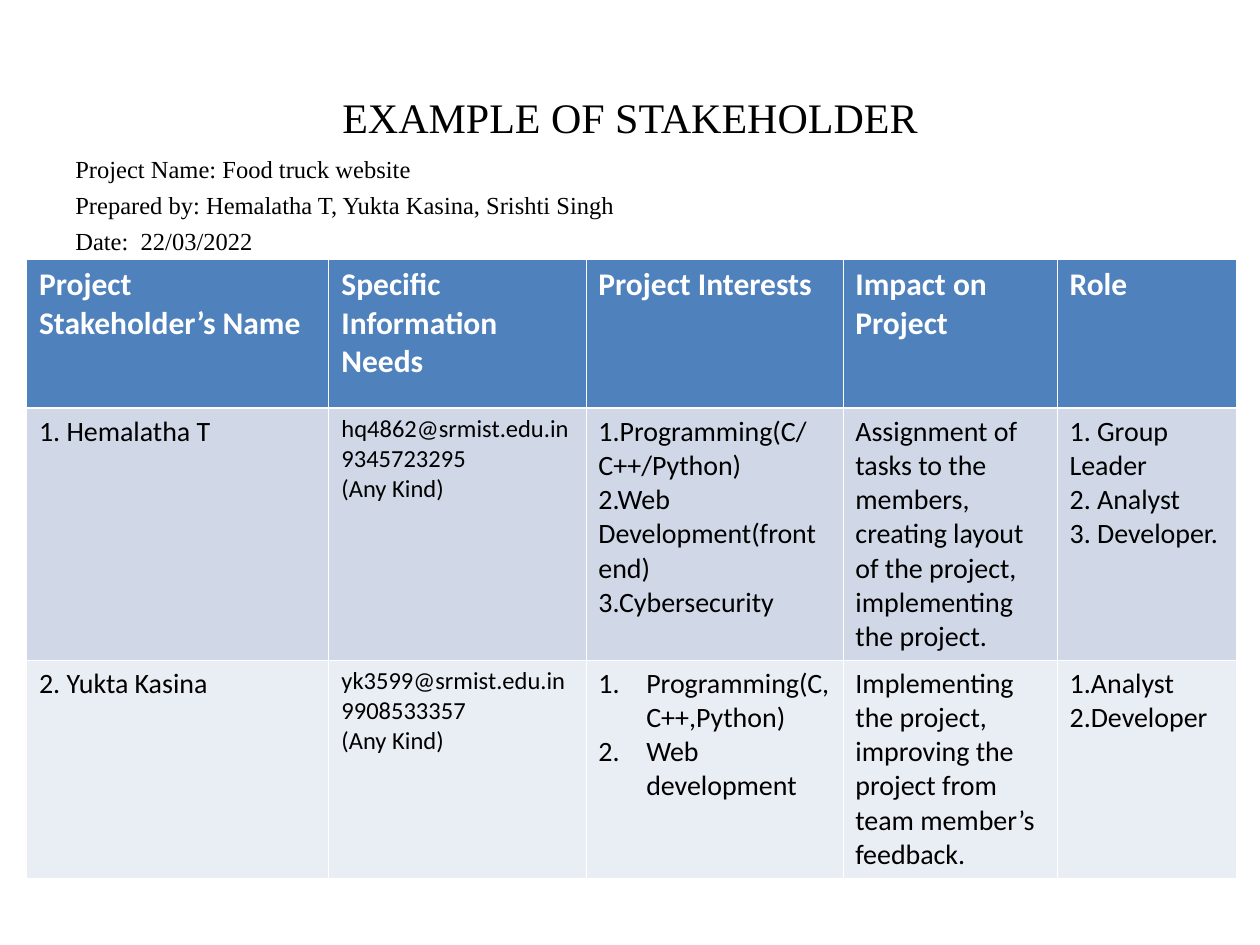
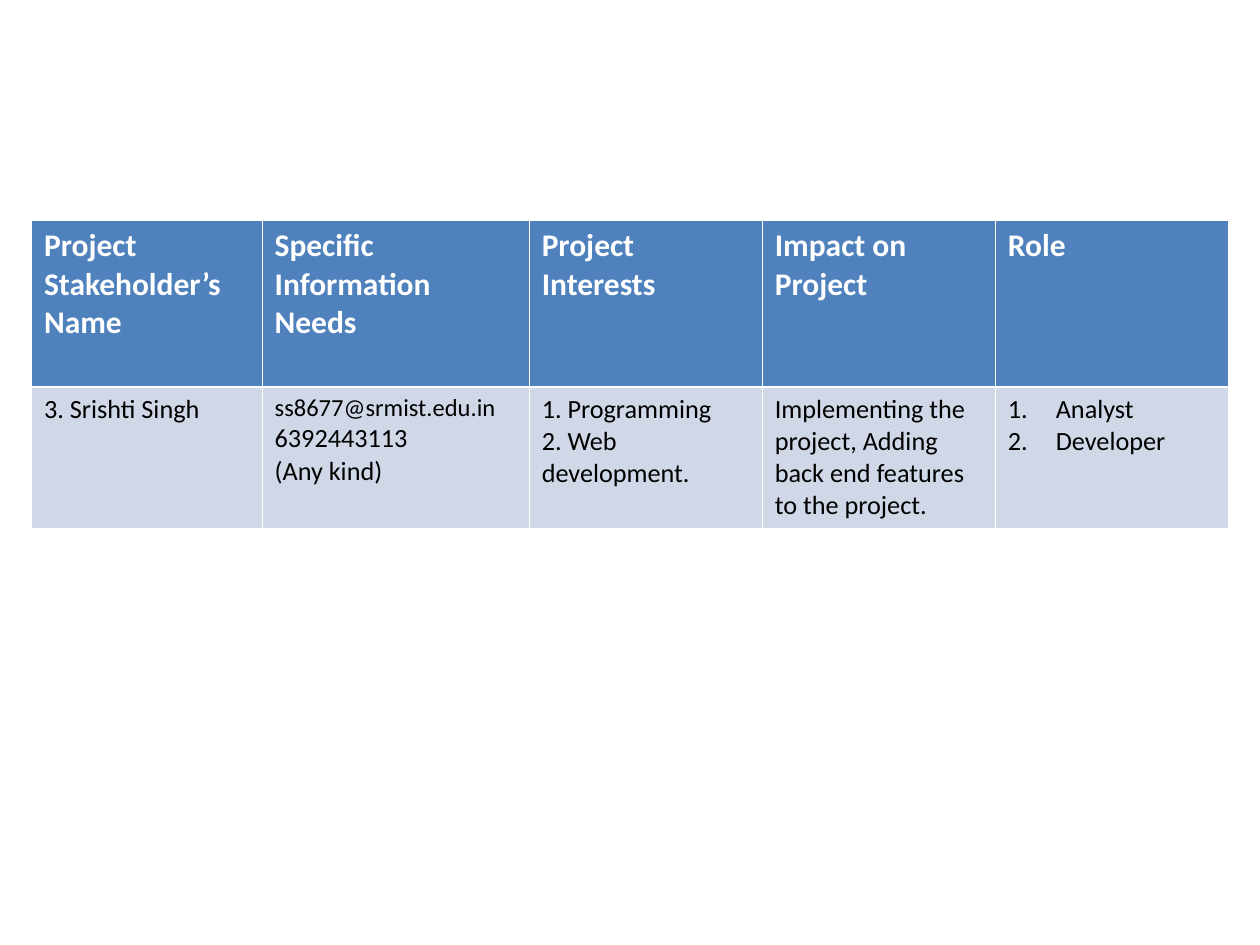
import dataclasses
import typing

import lxml.etree
import pptx
import pptx.dml.color
import pptx.enum.text
import pptx.oxml.ns
import pptx.util

Inches = pptx.util.Inches
Pt = pptx.util.Pt
qn = pptx.oxml.ns.qn


@dataclasses.dataclass(frozen=True)
class Theme:
    serif: str = "Times New Roman"
    sans: str = "Calibri"
    black: str = "000000"
    white: str = "FFFFFF"
    head: str = "4F81BD"
    bands: tuple[str, ...] = ("D0D8E8", "E9EDF4")
    title: float = 24
    label: float = 18
    body: float = 16
    small: float = 15
    note: float = 14
    thin: float = 0.45
    thick: float = 1.47
    gap: float = 4


THEME = Theme()


@dataclasses.dataclass(frozen=True)
class Cell:
    lines: tuple[str, ...]
    sizes: tuple[float, ...] = ()
    listed: bool = False


@dataclasses.dataclass(frozen=True)
class Grid:
    left: float
    top: float
    widths: tuple[float, ...]
    heights: tuple[float, ...]
    size: float
    rows: tuple[tuple[Cell, ...], ...]


HEADS = (
    Cell(("Project", "Stakeholder’s Name")),
    Cell(("Specific Information Needs",)),
    Cell(("Project Interests",)),
    Cell(("Impact on Project",)),
    Cell(("Role",)),
)

FACTS = (
    "Project Name: Food truck website",
    "Prepared by: Hemalatha T, Yukta Kasina, Srishti Singh",
    "Date:  22/03/2022",
)

FIRST = Grid(
    0.21, 2.06, (2.4, 2.04, 2.04, 1.7, 1.42), (1.18, 2, 1.73), THEME.body,
    (
        (
            Cell(("1. Hemalatha T",)),
            Cell(("hq4862@srmist.edu.in", "9345723295", "(Any Kind)"), (THEME.note,) * 3),
            Cell(("1.Programming(C/C++/Python)", "2.Web Development(front end)", "3.Cybersecurity")),
            Cell(("Assignment of tasks to the members, creating layout of the project, "
                  "implementing the project.",)),
            Cell(("1. Group Leader", "2. Analyst", "3. Developer.")),
        ),
        (
            Cell(("2. Yukta Kasina",)),
            Cell(("yk3599@srmist.edu.in", "9908533357", "(Any Kind)"), (THEME.note,) * 3),
            Cell(("Programming(C,C++,Python)", "Web development"), listed=True),
            Cell(("Implementing the project, improving the project from team member’s feedback.",)),
            Cell(("1.Analyst", "2.Developer")),
        ),
    ),
)

SECOND = Grid(
    0.25, 1.75, (1.83, 2.12, 1.85, 1.85, 1.85), (1.32, 1.12), THEME.small,
    (
        (
            Cell(("3. Srishti Singh",)),
            Cell(("ss8677@srmist.edu.in", "6392443113", "(Any kind)"),
                 (THEME.note, THEME.small, THEME.small)),
            Cell(("1. Programming", "2. Web development.")),
            Cell(("Implementing the project, Adding back end features to the project.",)),
            Cell(("Analyst", "Developer"), listed=True),
        ),
    ),
)


def apply(target: typing.Any, values: dict[str, typing.Any]) -> None:
    for name, value in values.items():
        setattr(target, name, value)


def style(font: typing.Any, face: str, size: float, tint: str, bold: bool = False) -> None:
    apply(font, {"name": face, "size": Pt(size), "bold": bold})
    font.color.rgb = pptx.dml.color.RGBColor.from_string(tint)


def place(shape: typing.Any, left: float, top: float, width: float, height: float) -> None:
    apply(shape, {"left": Inches(left), "top": Inches(top),
                  "width": Inches(width), "height": Inches(height)})


def paint(parent: typing.Any, tint: str) -> None:
    fill = lxml.etree.SubElement(parent, qn("a:solidFill"))
    lxml.etree.SubElement(fill, qn("a:srgbClr"), val=tint)


def count(para: typing.Any) -> None:
    props = para._p.get_or_add_pPr()
    props.set("marL", str(Inches(0.38)))
    props.set("indent", str(-Inches(0.38)))
    tint = lxml.etree.SubElement(props, qn("a:buClr"))
    lxml.etree.SubElement(tint, qn("a:srgbClr"), val=THEME.black)
    lxml.etree.SubElement(props, qn("a:buFont"), typeface="+mj-lt")
    lxml.etree.SubElement(props, qn("a:buAutoNum"), type="arabicPeriod")


def edge(box: typing.Any, row: int) -> None:
    props = box._tc.get_or_add_tcPr()
    widths = {
        "a:lnL": THEME.thin,
        "a:lnR": THEME.thin,
        "a:lnT": THEME.thick if row == 1 else THEME.thin,
        "a:lnB": THEME.thick if row == 0 else THEME.thin,
    }
    for index, (side, width) in enumerate(widths.items()):
        line = lxml.etree.Element(qn(side), w=str(int(Pt(width))))
        paint(line, THEME.white)
        props.insert(index, line)


def fill_cell(box: typing.Any, cell: Cell, row: int, base: float) -> None:
    head = row == 0
    shade = THEME.head if head else THEME.bands[(row - 1) % len(THEME.bands)]
    box.fill.solid()
    box.fill.fore_color.rgb = pptx.dml.color.RGBColor.from_string(shade)
    edge(box, row)
    box.text_frame.text = "\n".join(cell.lines)
    sizes = cell.sizes or (THEME.label if head else base,) * len(cell.lines)
    for para, size in zip(box.text_frame.paragraphs, sizes):
        if cell.listed:
            count(para)
        style(para.runs[0].font, THEME.sans, size, THEME.white if head else THEME.black, head)


def draw_grid(slide: typing.Any, grid: Grid) -> None:
    rows = (HEADS, *grid.rows)
    frame = slide.shapes.add_table(
        len(rows), len(HEADS), Inches(grid.left), Inches(grid.top),
        Inches(sum(grid.widths)), Inches(sum(grid.heights)))
    table = frame.table
    for column, width in zip(table.columns, grid.widths):
        column.width = Inches(width)
    for line, height in zip(table.rows, grid.heights):
        line.height = Inches(height)
    for row, cells in enumerate(rows):
        for col, cell in enumerate(cells):
            fill_cell(table.cell(row, col), cell, row, grid.size)


def draw_title(slide: typing.Any, text: str) -> None:
    title = slide.shapes.title
    place(title, 0.5, 0.3, 9, 1.25)
    title.text_frame.text = text
    title.text_frame.vertical_anchor = pptx.enum.text.MSO_ANCHOR.MIDDLE
    para = title.text_frame.paragraphs[0]
    para.alignment = pptx.enum.text.PP_ALIGN.CENTER
    style(para.runs[0].font, THEME.serif, THEME.title, THEME.black)


def draw_facts(slide: typing.Any, lines: tuple[str, ...]) -> None:
    box = slide.shapes.add_textbox(Inches(0.5), Inches(1.17), Inches(9), Inches(5.53))
    box.text_frame.word_wrap = True
    box.text_frame.text = "\n".join(lines)
    for index, para in enumerate(box.text_frame.paragraphs):
        if index:
            para.space_before = Pt(THEME.gap)
        style(para.runs[0].font, THEME.serif, THEME.note, THEME.black)


def main() -> None:
    deck = pptx.Presentation()
    apply(deck, {"slide_width": Inches(10), "slide_height": Inches(7.5)})
    titled, blank = deck.slide_layouts[5], deck.slide_layouts[6]
    slide = deck.slides.add_slide(titled)
    draw_title(slide, "EXAMPLE OF STAKEHOLDER")
    draw_facts(slide, FACTS)
    draw_grid(slide, FIRST)
    draw_grid(deck.slides.add_slide(blank), SECOND)
    deck.save("out.pptx")


if __name__ == "__main__":
    main()
